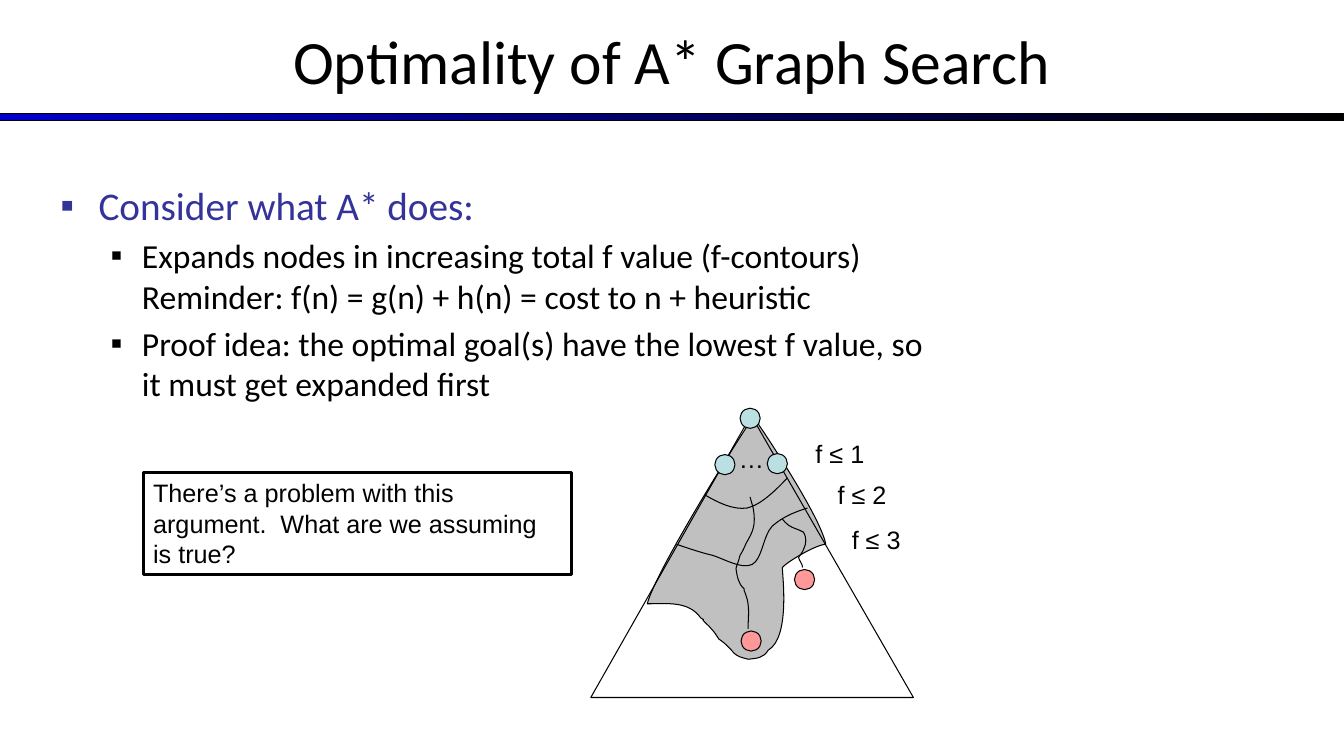
from lxml.etree import SubElement as Sub
from pptx import Presentation
from pptx.dml.color import RGBColor
from pptx.enum.shapes import MSO_SHAPE as Kind
from pptx.enum.text import MSO_ANCHOR as Anchor, MSO_AUTO_SIZE as Fit, PP_ALIGN as Align
from pptx.oxml.ns import qn
from pptx.util import Inches, Pt

BLACK = RGBColor(0, 0, 0)
WHITE = RGBColor(255, 255, 255)
BLUE = RGBColor(0, 0, 0xCC)
NAVY = RGBColor(0x33, 0x33, 0x99)
GRAY = RGBColor(0xC0, 0xC0, 0xC0)
AQUA = RGBColor(0xBB, 0xE0, 0xE3)
PINK = RGBColor(0xFF, 0x99, 0x99)

TITLE = "Optimality of A* Graph Search"
POINTS = [
    ("Consider what A* does:", 0, 28, NAVY, 0.38, 0.38),
    ("Expands nodes in increasing total f value (f-contours)\v"
     "Reminder: f(n) = g(n) + h(n) = cost to n + heuristic", 1, 24, BLACK, 0.81, 0.31),
    ("Proof idea: the optimal goal(s) have the lowest f value, so it must get expanded first",
     1, 24, BLACK, 0.81, 0.31),
]
PROBLEM = "There’s a problem with this argument.  What are we assuming is true?"
DOTS = ("…", 7.23, 4.35, 0.3)
LABELS = [("f ≤ 3", 8.35, 5.15, 0.9), ("f ≤ 2", 8.21, 4.71, 0.9), ("f ≤ 1", 7.99, 4.3, 0.9)]
LEAVES = [(7.09, 4.51, AQUA), (7.61, 4.5, AQUA), (7.88, 5.65, PINK), (7.35, 6.26, PINK)]
ROOT = (7.34, 4.05, AQUA)
TREE = [(5.86, 6.92), (9.06, 6.92), (7.45, 4.12)]
REGION = [
    (7.53, 4.22), (7.66, 4.41), (8.15, 5.16), (8.19, 5.4), (8.1, 5.4), (7.81, 5.57),
    (7.76, 5.63), (7.76, 5.71), (7.84, 6.32), (7.62, 6.45), (7.57, 6.53), (7.51, 6.53),
    (7.42, 6.54), (7.35, 6.52), (7.33, 6.52), (7.28, 6.48), (7.25, 6.44), (7.18, 6.37),
    (7.13, 6.34), (7.07, 6.25), (7.1, 6.29), (7.03, 6.21), (6.9, 6.09), (7.03, 6.18),
    (6.95, 6.13), (6.83, 5.96), (6.62, 5.99), (6.42, 5.99), (6.5, 5.68), (7.22, 4.52),
    (7.41, 4.23), (7.59, 3.94), (7.5, 4.22), (7.53, 4.22),
]
PATHS = [
    [(7.44, 4.93), (7.45, 4.97), (7.46, 5), (7.47, 5.04), (7.5, 5.21), (7.47, 5.27),
     (7.4, 5.39), (7.38, 5.44), (7.36, 5.48), (7.34, 5.51), (7.32, 5.58), (7.34, 5.52),
     (7.32, 5.58), (7.31, 5.6), (7.3, 5.64), (7.3, 5.64), (7.31, 5.71), (7.32, 5.79),
     (7.38, 5.84), (7.38, 5.85), (7.38, 5.87), (7.39, 5.88), (7.39, 5.89), (7.4, 5.9),
     (7.4, 5.91), (7.44, 6.02), (7.42, 6.12), (7.42, 6.24)],
    [(7.76, 5.15), (7.78, 5.17), (7.79, 5.19), (7.82, 5.21), (7.86, 5.24), (7.92, 5.25),
     (7.97, 5.28), (8, 5.33), (8, 5.39), (7.97, 5.45), (7.96, 5.48), (7.92, 5.53),
     (7.92, 5.53), (7.93, 5.57), (7.96, 5.59), (7.96, 5.63)],
]
BANDS = [
    [(8.01, 5.04), (7.88, 5.08), (7.76, 5.13), (7.66, 5.22), (7.57, 5.31), (7.56, 5.55),
     (7.46, 5.6), (7.36, 5.65), (7.19, 5.55), (7.07, 5.51), (6.94, 5.48), (6.83, 5.44),
     (6.71, 5.4)],
    [(7.81, 4.74), (7.68, 4.88), (7.54, 5.01), (7.41, 5.04), (7.27, 5.06), (7.13, 4.99),
     (6.99, 4.91)],
]


def write(para, text, size=18, font="Arial", color=BLACK, align=Align.LEFT):
    """Fill a paragraph with formatted text."""
    para.text = text
    para.alignment = align
    for run in para.runs:
        run.font.size, run.font.name = Pt(size), font
        run.font.color.rgb = color


def bullet(para, color, left, hang):
    """Give a paragraph a square bullet with a hanging indent."""
    props = para._p.get_or_add_pPr()
    props.set("marL", str(Inches(left)))
    props.set("indent", str(-Inches(hang)))
    Sub(Sub(props, qn("a:buClr")), qn("a:srgbClr")).set("val", str(color))
    Sub(props, qn("a:buFont")).set("typeface", "Arial")
    Sub(props, qn("a:buChar")).set("char", "▪")


def paint(shape, fill=None, width=0.75):
    """Set fill and outline, without a shadow."""
    shape.shadow.inherit = False
    if fill is None:
        shape.fill.background()
    else:
        shape.fill.solid()
        shape.fill.fore_color.rgb = fill
    shape.line.color.rgb = BLACK
    shape.line.width = Pt(width)


def trace(slide, dots, fill=None, close=False, step=3):
    """Draw an outline of cubic curves, or of straight lines with step 1."""
    spots = [(Inches(x), Inches(y)) for x, y in dots]
    pen = slide.shapes.build_freeform(*spots[0])
    pen.add_line_segments(spots[step::step], close=close)
    shape = pen.convert_to_shape()
    paint(shape, fill)
    if step == 3:
        lines = list(shape._element.iter(qn("a:lnTo")))
        for i, line in enumerate(lines[:len(dots) // 3]):
            line.tag = qn("a:cubicBezTo")
            line.remove(line[0])
            for x, y in spots[3 * i + 1:3 * i + 4]:
                knot = Sub(line, qn("a:pt"))
                knot.set("x", str(x - shape.left))
                knot.set("y", str(y - shape.top))


def node(slide, x, y, color):
    """Draw one round node."""
    size = Inches(0.2)
    paint(slide.shapes.add_shape(Kind.OVAL, Inches(x), Inches(y), size, size), color)


def place(slide, x, y, w, h):
    """Add a wrapping text box and return its frame."""
    frame = slide.shapes.add_textbox(Inches(x), Inches(y), Inches(w), Inches(h)).text_frame
    frame.word_wrap = True
    return frame


def label(slide, text, x, y, w):
    """Write one short label."""
    write(place(slide, x, y, w, 0.4).paragraphs[0], text)


def main():
    """Build the slide."""
    deck = Presentation()
    deck.slide_width, deck.slide_height = Inches(13.33), Inches(7.5)
    slide = deck.slides.add_slide(deck.slide_layouts[5])
    shapes = slide.shapes

    bar = shapes.add_shape(Kind.RECTANGLE, 0, Inches(1.13), Inches(13.33), Inches(0.07))
    paint(bar)
    bar.fill.gradient()
    bar.fill.gradient_angle = 0
    for stop, color in zip(bar.fill.gradient_stops, (BLUE, BLACK)):
        stop.color.rgb = color
    trace(slide, REGION, GRAY, close=True)

    title = shapes.title
    title.left, title.top = 0, Inches(-0.03)
    title.width, title.height = Inches(13.33), Inches(1.25)
    title.text_frame.auto_size = Fit.NONE
    title.text_frame.vertical_anchor = Anchor.MIDDLE
    write(title.text_frame.paragraphs[0], TITLE, size=44, font="Calibri", align=Align.CENTER)

    body = place(slide, 0.5, 1.75, 9, 2.33)
    for i, (text, level, size, color, left, hang) in enumerate(POINTS):
        para = body.add_paragraph() if i else body.paragraphs[0]
        para.level = level
        bullet(para, color, left, hang)
        write(para, text, size=size, font="Calibri", color=color)
        if i:
            para.space_before = Pt(size * 0.2)

    trace(slide, TREE, close=True, step=1)
    for leaf in LEAVES[:2]:
        node(slide, *leaf)
    label(slide, *DOTS)
    for leaf in LEAVES[2:]:
        node(slide, *leaf)
    for curve in PATHS:
        trace(slide, curve)
    node(slide, *ROOT)
    for curve in BANDS:
        trace(slide, curve)
    for item in LABELS:
        label(slide, *item)

    box = shapes.add_shape(Kind.RECTANGLE, Inches(1.42), Inches(4.69), Inches(4.25), Inches(1.01))
    paint(box, WHITE, width=2)
    box.text_frame.word_wrap = True
    box.text_frame.vertical_anchor = Anchor.TOP
    write(box.text_frame.paragraphs[0], PROBLEM)
    deck.save("out.pptx")


if __name__ == "__main__":
    main()
